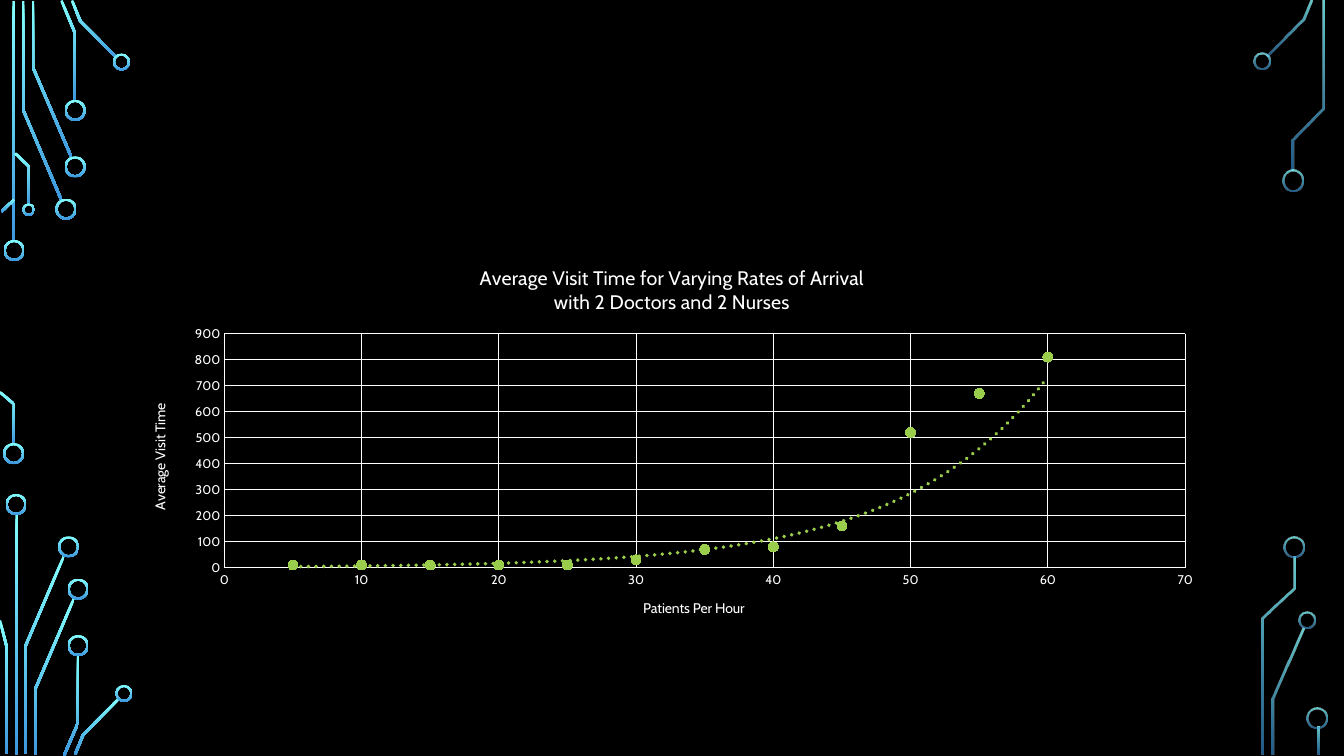
import math
from lxml import etree
from pptx import Presentation
from pptx import util as u
from pptx.chart.data import XyChartData
from pptx.dml.color import RGBColor
from pptx.enum import chart as charts, dml, shapes
from pptx.oxml import parse_xml
from pptx.oxml.ns import nsdecls, qn

WIDTH, HEIGHT = 13.33, 7.5
CELL = 0.1


def color(value):
    return RGBColor.from_string(value)


def grid(cells):
    return u.Inches(cells * CELL)


def format_font(font, size, shade, face):
    font.size, font.name, font.bold = u.Pt(size), face, False
    font.color.rgb = color(shade)


def write(frame, content, **style):
    frame.text = content
    for para in frame.paragraphs:
        for span in para.runs:
            format_font(span.font, **style)


def outline(points, half):
    normals = []
    for (x1, y1), (x2, y2) in zip(points, points[1:]):
        length = math.hypot(x2 - x1, y2 - y1)
        normals.append(((y1 - y2) / length, (x2 - x1) / length))
    before, after = normals[:1] + normals, normals + normals[-1:]
    left, right = [], []
    for (x, y), (ax, ay), (bx, by) in zip(points, before, after):
        reach = half / (1 + ax * bx + ay * by)
        dx, dy = (ax + bx) * reach, (ay + by) * reach
        left.append((x + dx, y + dy))
        right.append((x - dx, y - dy))
    return left + right[::-1]


class CircuitSlide:
    face = "Cabin"
    ink = "FFFFFF"
    accent = "9ACD4C"
    glow = ("82FFFF", "3D97DE")
    stroke = 0.25

    def __init__(self, deck):
        self.page = deck.slides.add_slide(deck.slide_layouts[6])
        fill = self.page.background.fill
        fill.solid()
        fill.fore_color.rgb = color("000000")

    def paint(self, shape, opacity):
        shape.shadow.inherit = False
        shape.line.fill.background()
        shape.fill.gradient()
        shape.fill.gradient_angle = 270
        for stop, shade in zip(shape.fill.gradient_stops, self.glow):
            stop.color.rgb = color(shade)
        if opacity:
            for tone, share in zip(shape._element.spPr.iter(qn("a:srgbClr")), opacity):
                etree.SubElement(tone, qn("a:alpha")).set("val", str(share * 1000))

    def trace(self, points, opacity=None):
        corners = [(grid(x), grid(y)) for x, y in outline(points, self.stroke / 2)]
        builder = self.page.shapes.build_freeform(*corners[0])
        builder.add_line_segments(corners[1:], close=True)
        self.paint(builder.convert_to_shape(), opacity)

    def ring(self, x, y, size=2.1, opacity=None):
        shape = self.page.shapes.add_shape(
            shapes.MSO_SHAPE.DONUT, grid(x - size / 2), grid(y - size / 2),
            grid(size), grid(size))
        shape.adjustments[0] = 0.2 / size
        self.paint(shape, opacity)

    def rule(self, line):
        line.color.rgb = color(self.ink)
        line.width = u.Pt(0.75)

    def axis(self, axis, title, maximum, step):
        axis.minimum_scale, axis.maximum_scale, axis.major_unit = 0, maximum, step
        axis.has_major_gridlines = True
        axis.major_tick_mark = axis.minor_tick_mark = charts.XL_TICK_MARK.NONE
        self.rule(axis.major_gridlines.format.line)
        self.rule(axis.format.line)
        format_font(axis.tick_labels.font, 9, self.ink, self.face)
        write(axis.axis_title.text_frame, title, size=10, shade=self.ink, face=self.face)

    def trend(self, series):
        line = parse_xml(
            f'<c:trendline {nsdecls("c", "a")}><c:spPr><a:ln w="{u.Pt(2.75)}" cap="rnd">'
            f'<a:solidFill><a:srgbClr val="{self.accent}"/></a:solidFill>'
            '<a:prstDash val="sysDot"/></a:ln></c:spPr><c:trendlineType val="exp"/>'
            '<c:dispRSqr val="0"/><c:dispEq val="0"/></c:trendline>')
        series._element.find(qn("c:xVal")).addprevious(line)

    def place_plot(self, chart, **shares):
        area = chart._chartSpace.chart.plotArea
        for old in area.findall(qn("c:layout")):
            area.remove(old)
        sides = "".join(f'<c:{side} val="{share}"/>' for side, share in shares.items())
        area.insert(0, parse_xml(
            f'<c:layout {nsdecls("c")}><c:manualLayout><c:layoutTarget val="inner"/>'
            f'<c:xMode val="edge"/><c:yMode val="edge"/>{sides}</c:manualLayout></c:layout>'))

    def scatter(self, place, title, x_axis, y_axis, points):
        data = XyChartData()
        visits = data.add_series("Series 1")
        for x, y in points:
            visits.add_data_point(x, y)
        chart = self.page.shapes.add_chart(
            charts.XL_CHART_TYPE.XY_SCATTER, *map(grid, place), data).chart
        format_font(chart.font, 10, self.ink, self.face)
        chart.has_legend = False
        write(chart.chart_title.text_frame, title, size=14, shade=self.ink, face=self.face)
        self.axis(chart.category_axis, *x_axis)
        self.axis(chart.value_axis, *y_axis)
        self.place_plot(chart, x=0.09, y=0.22, w=0.88, h=0.6)
        plot = chart.plots[0]
        plot.vary_by_categories = False
        series = plot.series[0]
        series.format.line.fill.background()
        marker = series.marker
        marker.style, marker.size = charts.XL_MARKER_STYLE.CIRCLE, 7
        marker.format.fill.solid()
        marker.format.fill.fore_color.rgb = color(self.accent)
        marker.format.line.color.rgb = color(self.accent)
        marker.format.line.dash_style = dml.MSO_LINE.SOLID
        self.trend(series)


LEFT_TRACES = [
    [(1.35, 0.1), (1.35, 23.9)],
    [(2.3, 0.1), (2.3, 10.9), (6.1, 19.85)],
    [(3.25, 0.1), (3.25, 6.65), (7.1, 15.65)],
    [(6.1, 0.05), (7.45, 3.3), (7.45, 10)],
    [(7.15, 0.05), (7.95, 2.05), (11.55, 5.7)],
    [(0.15, 21), (1.4, 19.8)],
    [(0, 38.9), (1.4, 40.1), (1.4, 44.1)],
    [(1.5, 15.2), (2.9, 16.55), (2.9, 20.3)],
    [(1.65, 51), (1.65, 74.9)],
    [(2.55, 74.8), (2.55, 64.05), (6.35, 55.15)],
    [(0.65, 74.8), (0.65, 64.1), (0, 61.55)],
    [(3.55, 74.9), (3.55, 68.25), (7.35, 59.35)],
    [(6.35, 74.95), (7.75, 71.7), (7.75, 65)],
    [(7.45, 74.85), (8.25, 72.9), (11.8, 69.3)],
]
LEFT_RINGS = [
    (1.4, 24.85), (1.35, 45), (6.55, 20.75), (7.45, 16.55), (7.45, 10.95),
    (12.05, 6.15, 1.7), (2.85, 20.8, 1.25), (1.6, 50.05), (6.8, 54.25),
    (7.75, 58.45), (7.75, 64.05), (12.3, 68.8, 1.7),
]
RIGHT_TRACES = [
    [(130.05, 0.05), (129.25, 1.95), (125.7, 5.55)],
    [(126.25, 74.9), (126.25, 69.35), (129.3, 62.35)],
    [(128.2, 16.9), (128.2, 13.85), (131.25, 10.75), (131.25, 0.1)],
    [(125.25, 74.9), (125.25, 61.35), (128.35, 58.35), (128.35, 55.2)],
    [(130.75, 72.1), (130.75, 74.9)],
]
RIGHT_RINGS = [
    (125.2, 6.05, 1.7), (128.25, 17.9), (129.65, 61.55, 1.7),
    (128.3, 54.25), (130.65, 71.2),
]
VISIT_TIMES = [10, 10, 10, 10, 10, 30, 70, 80, 160, 520, 670, 810]

deck = Presentation()
deck.slide_width, deck.slide_height = u.Inches(WIDTH), u.Inches(HEIGHT)
slide = CircuitSlide(deck)
for traces, rings, opacity in [(LEFT_TRACES, LEFT_RINGS, None),
                               (RIGHT_TRACES, RIGHT_RINGS, (80, 60))]:
    for points in traces:
        slide.trace(points, opacity)
    for circle in rings:
        slide.ring(*circle, opacity=opacity)
slide.scatter(
    (12.5, 24.6, 108.3, 38.7),
    "Average Visit Time for Varying Rates of Arrival\nwith 2 Doctors and 2 Nurses",
    ("Patients Per Hour", 70, 10), ("Average Visit Time", 900, 100),
    zip(range(5, 65, 5), VISIT_TIMES))
deck.save("out.pptx")
